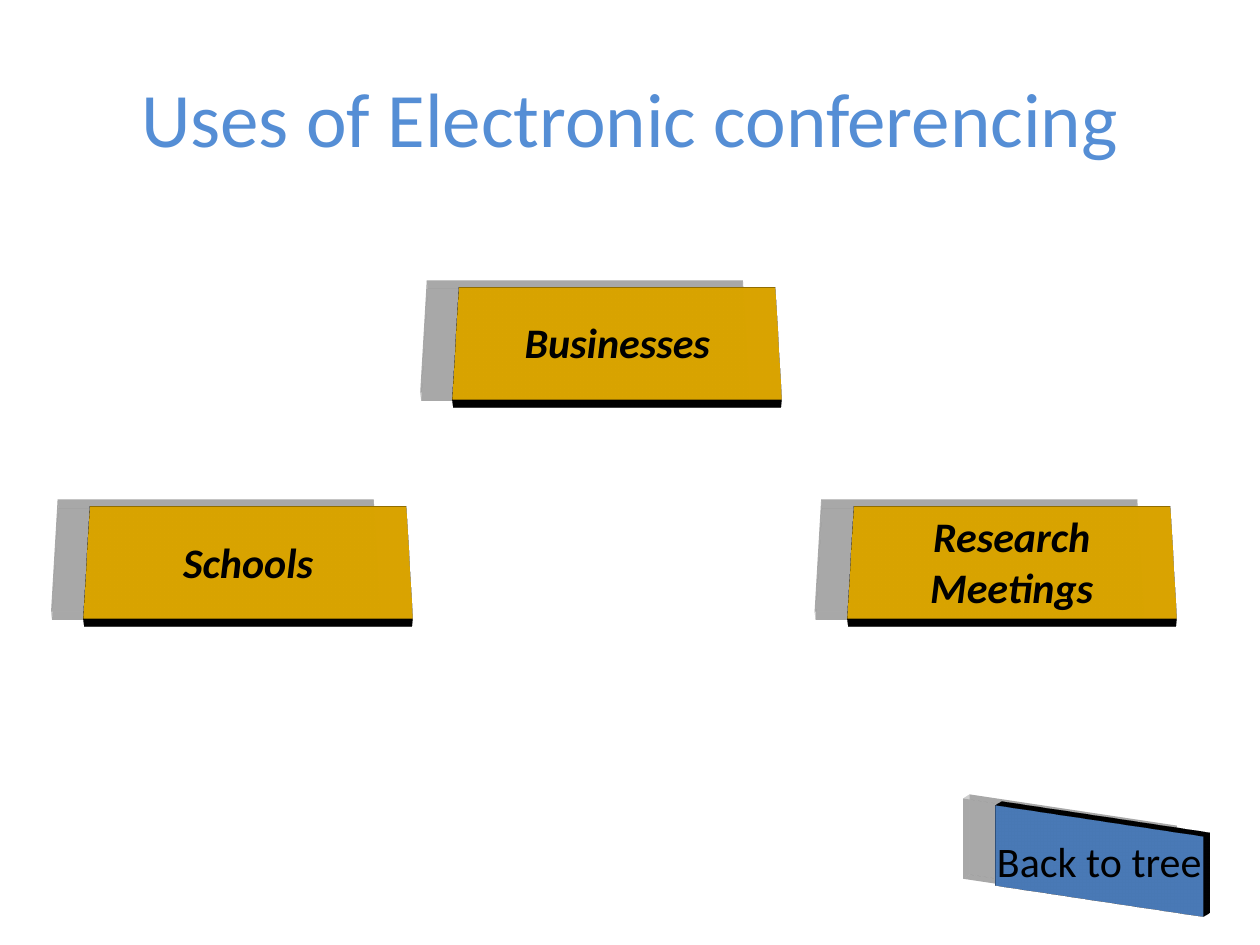
from lxml import etree
from pptx import Presentation, util as u
from pptx.dml.color import RGBColor
from pptx.enum import shapes, text
from pptx.oxml import parse_xml
from pptx.oxml.ns import qn

NAMESPACE = 'xmlns:a="http://schemas.openxmlformats.org/drawingml/2006/main"'
BLACK, BLUE, GOLD = "000000", "558ED5", "FFC000"
TILE_SIZE = (2.56, 1.09)
TILES = [("Schools", 0.69, 3.91), ("Research Meetings", 6.75, 3.91), ("Businesses", 3.62, 2.17)]


def color(value):
    """Turn a hex string into a colour."""
    return RGBColor.from_string(value)


def place(shape, box):
    """Move and size a shape to a box given in inches."""
    shape.left, shape.top, shape.width, shape.height = (u.Inches(length) for length in box)


def write(shape, wording, size=24, fill=BLACK, bold=False, italic=False):
    """Put centred, formatted text in a shape."""
    frame = shape.text_frame
    frame.word_wrap = True
    frame.vertical_anchor = text.MSO_ANCHOR.MIDDLE
    paragraph = frame.paragraphs[0]
    paragraph.alignment = text.PP_ALIGN.CENTER
    run = paragraph.add_run()
    run.text = wording
    font = run.font
    font.name, font.size, font.bold, font.italic = "Calibri", u.Pt(size), bold, italic
    font.color.rgb = color(fill)


def add_depth(shape, camera):
    """Give a shape a soft shadow and an extruded body seen by a preset camera."""
    shape.shadow.inherit = False
    properties = shape._element.spPr
    effects = properties.find(qn("a:effectLst"))
    effects.append(parse_xml(
        f'<a:outerShdw {NAMESPACE} blurRad="184150" dist="241300" dir="11520000" '
        'sx="110000" sy="110000" algn="ctr" rotWithShape="0">'
        f'<a:srgbClr val="{BLACK}"><a:alpha val="18000"/></a:srgbClr></a:outerShdw>'))
    scene = parse_xml(
        f'<a:scene3d {NAMESPACE}><a:camera prst="{camera}"/>'
        '<a:lightRig rig="flood" dir="t"><a:rot lat="0" lon="0" rev="13800000"/></a:lightRig>'
        '</a:scene3d>')
    body = parse_xml(
        f'<a:sp3d {NAMESPACE} extrusionH="107950" prstMaterial="plastic">'
        '<a:bevelT w="82550" h="63500" prst="divot"/><a:bevelB/>'
        f'<a:extrusionClr><a:srgbClr val="{BLACK}"/></a:extrusionClr></a:sp3d>')
    effects.addnext(scene)
    scene.addnext(body)


def add_block(slide, box, wording, fill, camera, **format):
    """Add an extruded, labelled rectangle in a box."""
    block = slide.shapes.add_shape(shapes.MSO_SHAPE.RECTANGLE, 0, 0, 0, 0)
    place(block, box)
    block.fill.solid()
    block.fill.fore_color.rgb = color(fill)
    block.line.color.rgb = color(BLACK)
    block.line.width = u.Pt(4.5)
    block.text_frame.margin_left = block.text_frame.margin_right = u.Inches(0.08)
    add_depth(block, camera)
    write(block, wording, **format)


def add_title(slide, box):
    """Place and format the slide title."""
    place(slide.shapes.title, box)
    write(slide.shapes.title, "Uses of Electronic conferencing", size=44, fill=BLUE)


def add_tiles(slide):
    """Add one tile for each use of conferencing."""
    for wording, left, top in TILES:
        add_block(slide, (left, top, *TILE_SIZE), wording, GOLD,
                  "perspectiveRelaxedModerately", bold=True, italic=True)


def main():
    """Build and save the presentation."""
    presentation = Presentation()
    presentation.slide_width, presentation.slide_height = u.Inches(10), u.Inches(7.5)
    slide = presentation.slides.add_slide(presentation.slide_layouts[5])
    add_title(slide, (0.5, 0.3, 9, 1.25))
    add_tiles(slide)
    add_block(slide, (7.81, 6.5, 1.83, 0.67), "Back to tree", BLUE, "isometricOffAxis2Left")
    presentation.save("out.pptx")


if __name__ == "__main__":
    main()
